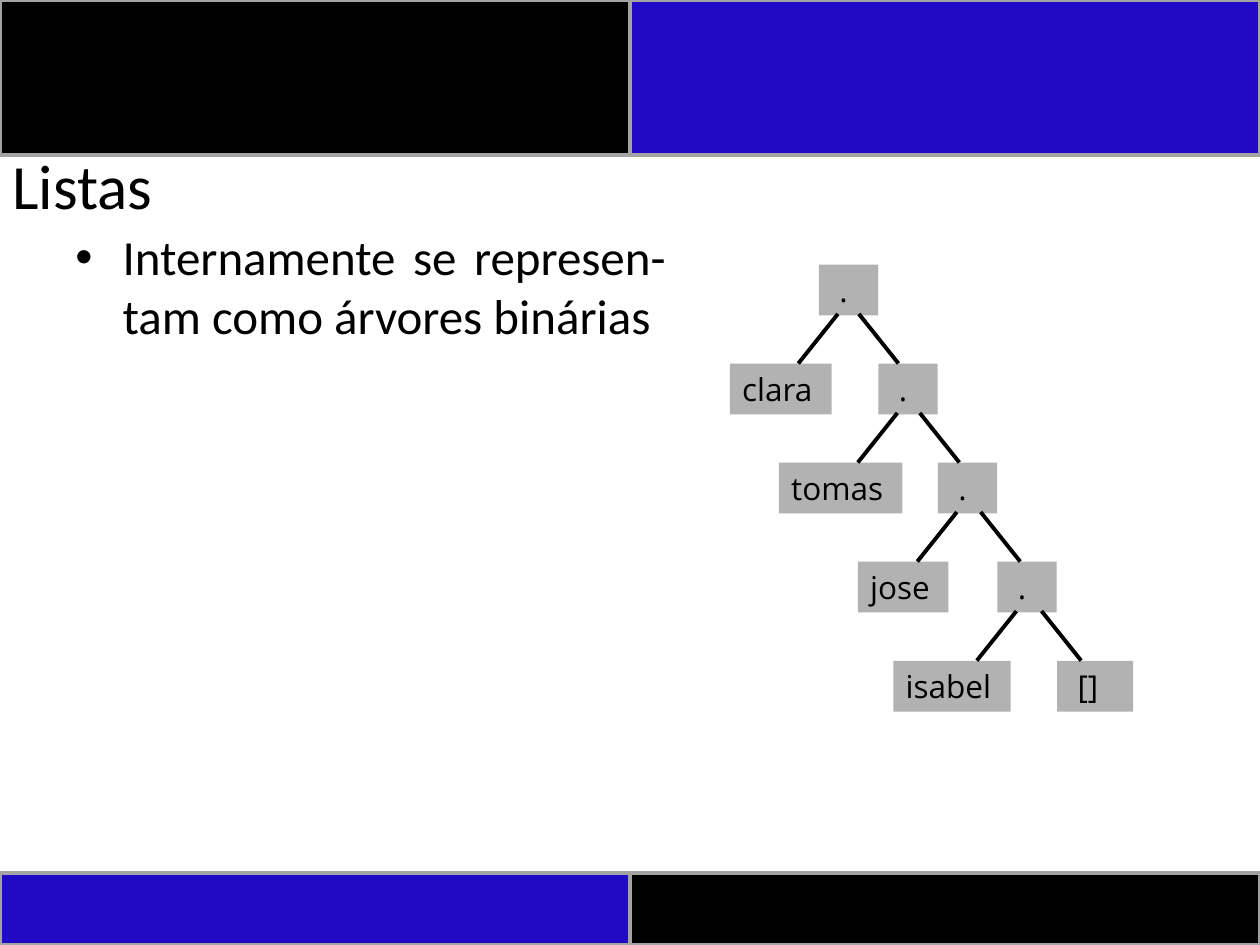
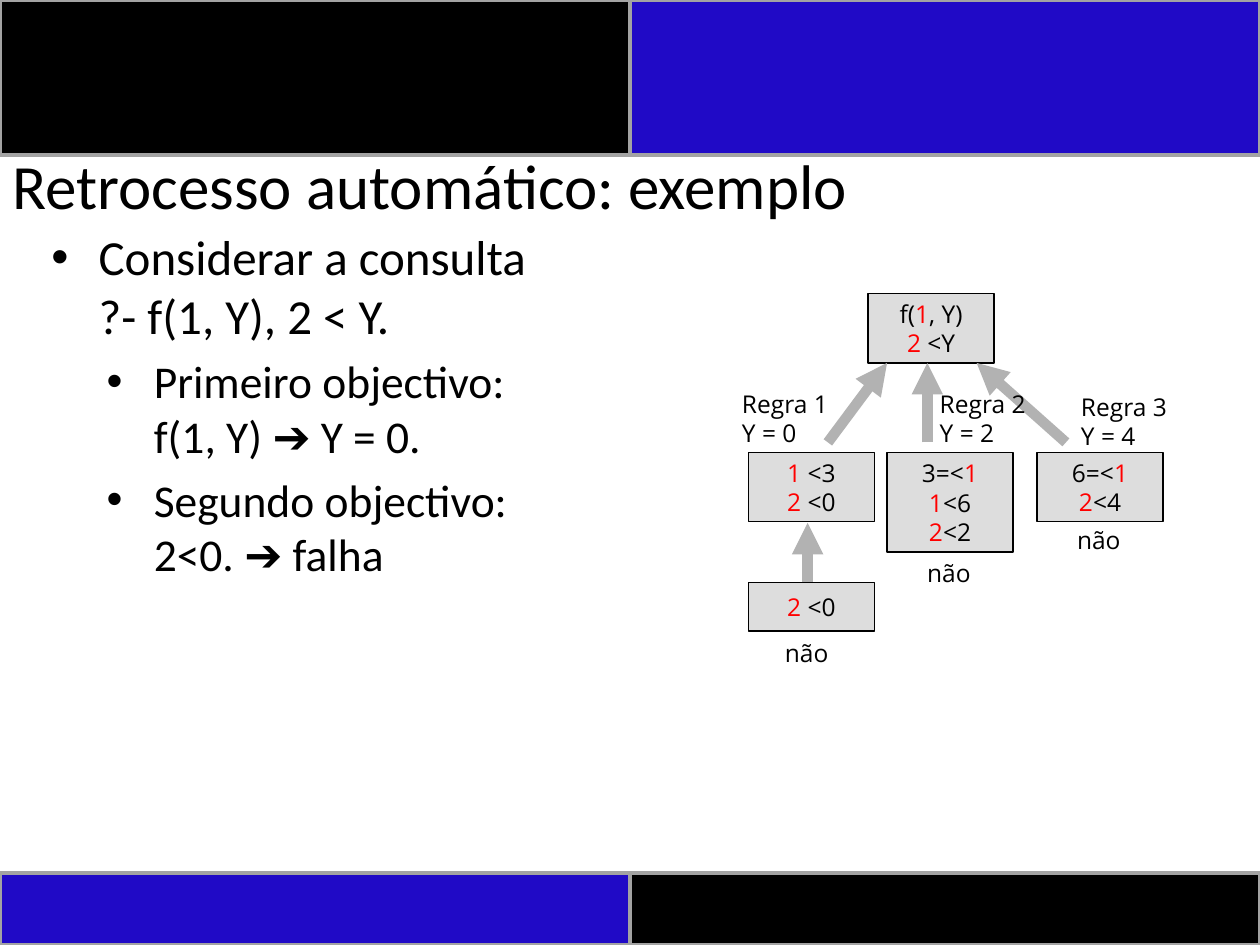
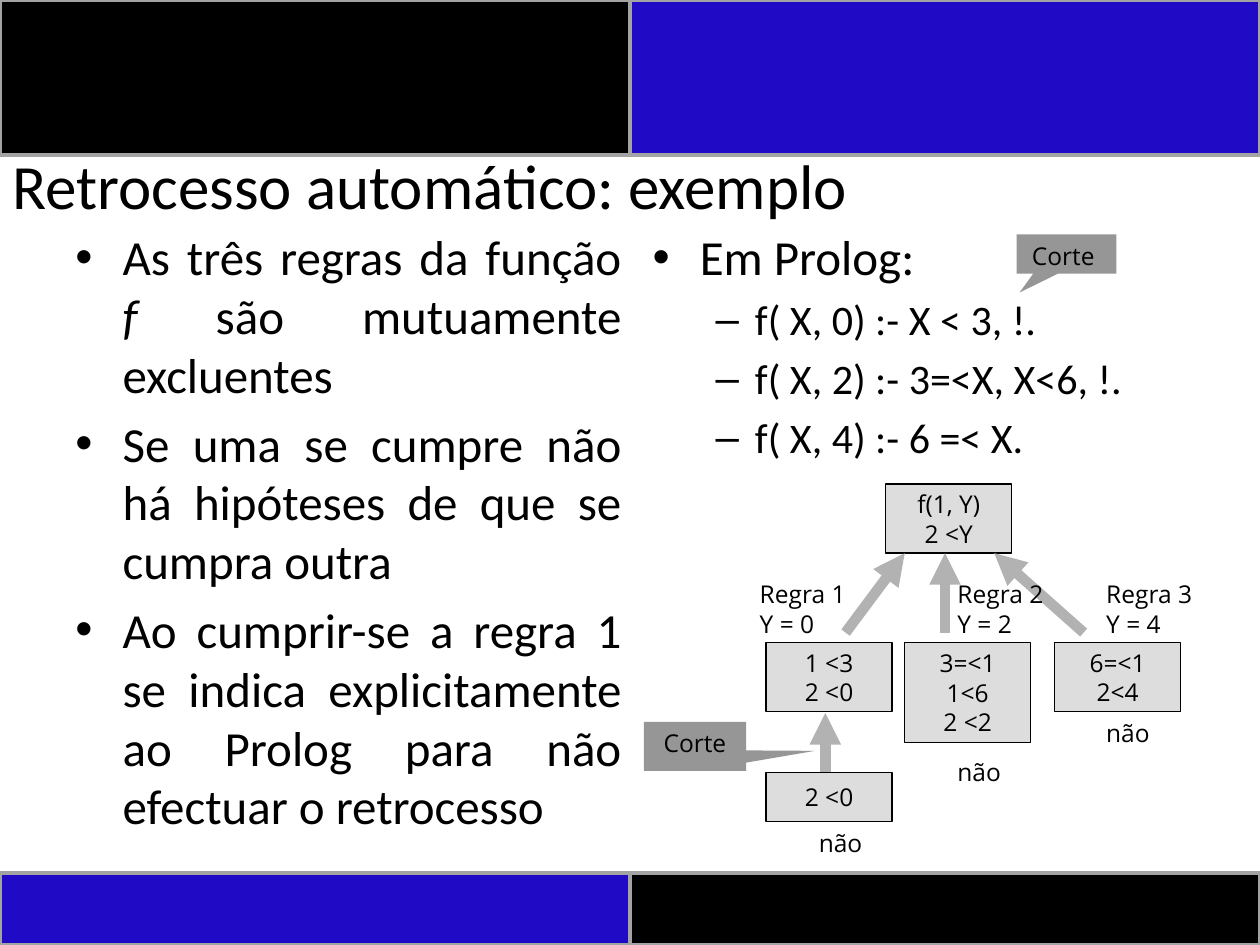
import pptx
import pptx.util
import pptx.dml.color
import pptx.enum.shapes
import pptx.enum.text
import pptx.oxml
import pptx.oxml.ns

Pt = pptx.util.Pt
SHAPE = pptx.enum.shapes.MSO_SHAPE
ALIGN = pptx.enum.text.PP_ALIGN
ANCHOR = pptx.enum.text.MSO_ANCHOR

BLACK, BLUE, RED = "000000", "200AC6", "FF0000"
BAND_LINE, NODE_FILL, BOX_FILL, CALLOUT_FILL = "A3A3A3", "B2B2B2", "DDDDDD", "969696"
BODY_FONT, LABEL_FONT = "Calibri", "Open Sans"
WIDTH, HEIGHT = 720, 540


def rgb(value):
    return pptx.dml.color.RGBColor.from_string(value)


def xml_child(parent, tag, **attrs):
    el = pptx.oxml.parse_xml("<%s %s/>" % (tag, pptx.oxml.ns.nsdecls("a")))
    for name, value in attrs.items():
        el.set(name, value)
    parent.append(el)


def write(p, text, size, font):
    for i, part in enumerate(text.split("|")):
        marked = i % 2 == 1
        for j, line in enumerate(part.split("\n")):
            if j:
                p.add_line_break()
            r = p.add_run()
            r.text = line
            r.font.size = Pt(size)
            r.font.name = font
            r.font.color.rgb = rgb(RED if marked and font == LABEL_FONT else BLACK)
            if marked and font == BODY_FONT:
                r.font.italic = True


def fill_text(sp, lines, size, align=ALIGN.LEFT, anchor=ANCHOR.TOP, font=LABEL_FONT):
    tf = sp.text_frame
    tf.word_wrap = True
    tf.vertical_anchor = anchor
    for i, line in enumerate(lines):
        p = tf.add_paragraph() if i else tf.paragraphs[0]
        p.alignment = align
        write(p, line, size, font)


def add_shape(s, kind, x, y, w, h, fill, line=None, weight=0.75):
    sp = s.shapes.add_shape(kind, Pt(x), Pt(y), Pt(w), Pt(h))
    sp.shadow.inherit = False
    sp.fill.solid()
    sp.fill.fore_color.rgb = rgb(fill)
    if line:
        sp.line.color.rgb = rgb(line)
        sp.line.width = Pt(weight)
    else:
        sp.line.fill.background()
    return sp


def add_textbox(s, x, y, w, h):
    return s.shapes.add_textbox(Pt(x), Pt(y), Pt(w), Pt(h))


def add_line(s, x1, y1, x2, y2, color, weight, arrow=False):
    c = s.shapes.add_connector(pptx.enum.shapes.MSO_CONNECTOR.STRAIGHT,
                               Pt(x1), Pt(y1), Pt(x2), Pt(y2))
    c.line.color.rgb = rgb(color)
    c.line.width = Pt(weight)
    if arrow:
        xml_child(c.line._get_or_add_ln(), "a:tailEnd", type="triangle")
    xml_child(c._element.spPr, "a:effectLst")


def add_slide(prs, title):
    s = prs.slides.add_slide(prs.slide_layouts[6])
    half = WIDTH / 2
    for x, y, h, fill in ((half, 499, 41, BLACK), (0, 499, 41, BLUE),
                          (0, 0, 88.6, BLACK), (half, 0, 88.6, BLUE)):
        add_shape(s, SHAPE.RECTANGLE, x, y, half, h, fill, BAND_LINE, 2)
    fill_text(add_textbox(s, 0, 88.6, WIDTH, 33.1), [title], 36,
              anchor=ANCHOR.MIDDLE, font=BODY_FONT)
    return s


def add_bullets(s, x, w, items, align=ALIGN.LEFT):
    tf = add_textbox(s, x, 126, w, 356).text_frame
    tf.word_wrap = True
    for i, (text, size, margin, hang, bullet) in enumerate(items):
        p = tf.add_paragraph() if i else tf.paragraphs[0]
        p.alignment = align
        p.space_before = Pt(0.2 * size)
        pPr = p._p.get_or_add_pPr()
        pPr.set("marL", str(Pt(margin)))
        pPr.set("indent", str(-Pt(hang)))
        xml_child(pPr, "a:buFont", typeface="Arial")
        xml_child(pPr, "a:buChar", char=bullet)
        write(p, text, size, BODY_FONT)


def main_item(text):
    return text, 28, 27, 27, "\u2022"


def add_callout(s, x, y, w, h, text, tip):
    sp = add_shape(s, SHAPE.RECTANGULAR_CALLOUT, x, y, w, h, CALLOUT_FILL)
    sp.adjustments[0], sp.adjustments[1] = tip
    fill_text(sp, [text], 14, ALIGN.CENTER)


def add_node(s, x, y, w, text):
    fill_text(add_shape(s, SHAPE.RECTANGLE, x, y, w, 29, NODE_FILL), [text], 18)


def add_list_tree(s, x, y):
    dx, dy = 34, 56.6
    leaves = (("clara", 417, 58.3), ("tomas", 445, 70.6),
              ("jose", 490.2, 51.8), ("isabel", 510.5, 67))
    for i, (name, left, w) in enumerate(leaves):
        add_node(s, x + i * dx, y + i * dy, 33.8, " . ")
        add_node(s, left, y + (i + 1) * dy, w, name)
    add_node(s, x + 4 * dx, y + 4 * dy, 43.5, " [] ")
    for i in range(len(leaves)):
        top = y + i * dy + 28.2
        for start, run in ((x + 10.8 + i * dx, -22.6), (x + 22.8 + i * 34.8, 22.6)):
            add_line(s, start, top, start + run, top + 28.3, BLACK, 2.25)


def add_search_tree(s, x, y, goals, rule3, noes):
    places = ((0, 0, 39.6), (96.5, 90.7, 39.6), (10.8, 90.7, 57),
              (-68.4, 90.7, 39.6), (-68.4, 164.9, 28))
    for (dx, dy, h), lines in zip(places, goals):
        sp = add_shape(s, SHAPE.RECTANGLE, x + dx, y + dy, 72, h, BOX_FILL, BLACK)
        fill_text(sp, lines, 14, ALIGN.CENTER, ANCHOR.MIDDLE)
    for x1, y1, x2, y2 in ((-23, 85, 10.8, 39.6), (33.8, 85, 33.8, 39.6),
                           (113, 85, 62, 39.6), (-34.6, 164.9, -34.6, 131)):
        add_line(s, x + x1, y + y1, x + x2, y + y2, NODE_FILL, 6, arrow=True)
    rules = ((-79.2, 51), (33.8, 51), rule3)
    for i, (dx, dy) in enumerate(rules):
        fill_text(add_textbox(s, x + dx, y + dy, 70, 41),
                  ["Regra %d" % (i + 1), "Y = %d" % (2 * i)], 14)
    for dx, dy in noes:
        fill_text(add_textbox(s, x + dx, y + dy, 40.3, 24.5), ["não"], 14)


def lists_slide(prs):
    s = add_slide(prs, "Listas ")
    add_bullets(s, 36, 351.4,
                [main_item("Internamente se represen-tam como árvores binárias")],
                ALIGN.JUSTIFY)
    add_list_tree(s, 468, 151.2)


def backtracking_slide(prs):
    s = add_slide(prs, "Retrocesso automático: exemplo")
    goals = ["Primeiro objectivo: \nf(1, Y) ➔ Y = 0.", "Segundo objectivo: \n2<0. ➔ falha"]
    add_bullets(s, 22.3, 335.5,
                [main_item("Considerar a consulta \n?- f(1, Y), 2 < Y.")]
                + [(goal, 26, 58.5, 27, "\u2022") for goal in goals])
    add_search_tree(s, 496.1, 167.8,
                    (("f(|1|, Y)", "|2| <Y"), ("6=<|1|", "|2|<4"),
                     ("3=<|1|", "|1|<6", "|2|<2"), ("|1 |<3", "|2| <0"), ("|2 |<0",)),
                    (114.5, 52.5), ((-54.7, 193), (112.3, 128.9), (26.6, 147.6)))


def cut_slide(prs):
    s = add_slide(prs, "Retrocesso automático: exemplo")
    add_bullets(s, 36, 326.2, [main_item(text) for text in (
        "As três regras da função |f| são mutuamente excluentes",
        "Se uma se cumpre não há hipóteses de que se cumpra outra",
        "Ao cumprir-se a regra 1 se indica explicitamente ao Prolog "
        "para não efectuar o retrocesso")], ALIGN.JUSTIFY)
    clauses = ("f( X, 0) :- X < 3, !.", "f( X, 2) :- 3=<X, X<6, !.", "f( X, 4) :- 6 =< X.")
    add_bullets(s, 365.8, 318.2, [main_item("Em Prolog:")]
                + [(clause, 24, 58.5, 22.5, "\u2013") for clause in clauses])
    add_callout(s, 581, 134, 56.9, 22.3, "Corte ", (-0.471, 0.986))
    add_search_tree(s, 506.2, 276.5,
                    (("f(1, Y)", "2 <Y"), ("6=<1", "2<4"), ("3=<1", "1<6", "2 <2"),
                     ("1 <3", "2 <0"), ("2 <0",)),
                    (118.8, 51), ((-45.4, 193), (118.8, 130.3), (33.8, 152.6)))
    add_callout(s, 368, 412.5, 58.3, 28, "Corte", (1.176, 0.093))


def main():
    prs = pptx.Presentation()
    prs.slide_width, prs.slide_height = Pt(WIDTH), Pt(HEIGHT)
    lists_slide(prs)
    backtracking_slide(prs)
    cut_slide(prs)
    prs.save("out.pptx")


main()
